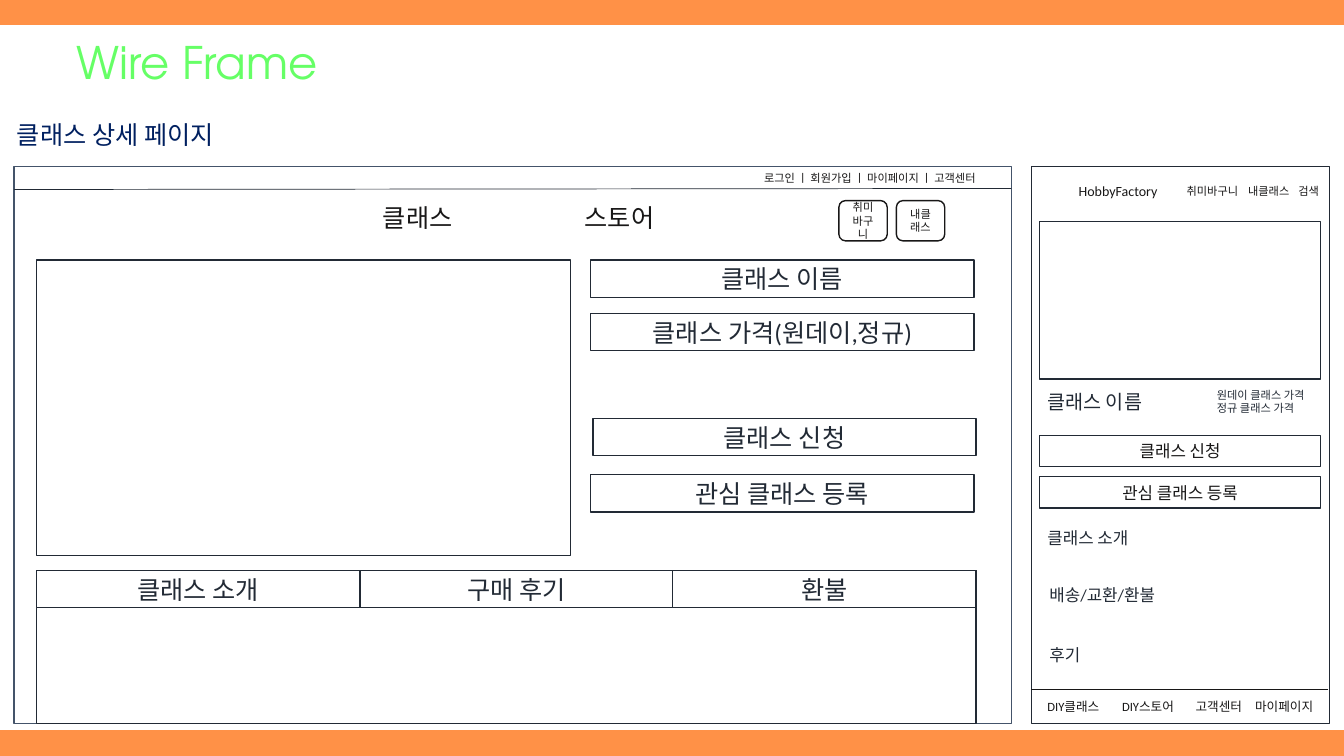
from itertools import accumulate

from lxml.etree import SubElement
from pptx import Presentation
from pptx.dml.color import RGBColor
from pptx.enum.shapes import MSO_CONNECTOR as CONNECTOR, MSO_SHAPE as SHAPE
from pptx.enum.text import MSO_ANCHOR as ANCHOR, MSO_AUTO_SIZE as AUTO_SIZE, PP_ALIGN as ALIGN
from pptx.oxml.ns import qn
from pptx.util import Inches, Pt

# Content
TITLE = "Wire Frame"
SUBTITLE = "클래스 상세 페이지"
ACCOUNT_LINKS = "로그인 ㅣ 회원가입 ㅣ 마이페이지 ㅣ 고객센터"
MAIN_MENU = ["", "클래스", "스토어"]
MENU_BUTTONS = ["취미바구니", "내클래스"]
# Text, left, top
CLASS_ROWS = [
    ("클래스 이름", 5.86, 2.58),
    ("클래스 가격(원데이,정규)", 5.86, 3.11),
    ("클래스 신청", 5.88, 4.15),
    ("관심 클래스 등록", 5.86, 4.71),
]
DETAIL_TABS = [("클래스 소개", 3.21), ("구매 후기", 3.1), ("환불", 3.01)]
MOBILE_BRAND = "HobbyFactory"
MOBILE_MENU = ["취미바구니", "내클래스", "검색"]
MOBILE_NAME = "클래스 이름"
MOBILE_PRICES = ["원데이 클래스 가격", "정규 클래스 가격"]
MOBILE_BUTTONS = ["클래스 신청", "관심 클래스 등록"]
MOBILE_SECTIONS = [("클래스 소개", 10.29, 5.19), ("배송/교환/환불", 10.31, 5.75),
                   ("후기", 10.31, 6.35)]
MOBILE_FOOTER = ["DIY클래스", "DIY스토어", "고객센터", "마이페이지"]

# Colours and fonts
ORANGE = RGBColor(0xFF, 0x91, 0x47)
WHITE = RGBColor(0xFF, 0xFF, 0xFF)
GREEN = RGBColor(0x66, 0xFF, 0x66)
NAVY = RGBColor(0x00, 0x20, 0x60)
SLATE = RGBColor(0x44, 0x54, 0x6A)
INK = RGBColor(0x22, 0x2A, 0x35)
BLACK = RGBColor(0x18, 0x17, 0x17)
BODY_FONT = "Calibri"
TITLE_FONT = "TeX Gyre Adventor"

# Grid
SLIDE_W, SLIDE_H = 13.33, 7.5
BAND = 0.26
FRAME_TOP, FRAME_H = 1.65, 5.53
DESKTOP_LEFT, DESKTOP_W = 0.14, 9.89
MOBILE_LEFT, MOBILE_W = 10.23, 2.96
CONTENT_LEFT, CONTENT_W = 0.36, 9.32
DETAIL_TOP, ROW_H, ROW_W = 5.66, 0.37, 3.8
CARD_LEFT, CARD_W = 10.31, 2.79

prs = Presentation()
prs.slide_width, prs.slide_height = Inches(SLIDE_W), Inches(SLIDE_H)
slide = prs.slides.add_slide(prs.slide_layouts[5])
slide.background.fill.solid()
slide.background.fill.fore_color.rgb = ORANGE


def write(shape, text, size=18, color=INK, font=BODY_FONT, align=ALIGN.LEFT,
          anchor=ANCHOR.TOP, tabs=()):
    frame = shape.text_frame
    frame.word_wrap = True
    frame.auto_size = AUTO_SIZE.NONE
    frame.vertical_anchor = anchor
    for index, line in enumerate(text.split("\n")):
        paragraph = frame.add_paragraph() if index else frame.paragraphs[0]
        paragraph.alignment = align
        if tabs:
            stops = SubElement(paragraph._p.get_or_add_pPr(), qn("a:tabLst"))
            for stop in tabs:
                SubElement(stops, qn("a:tab"), pos=str(Inches(stop)), algn="l")
        run = paragraph.add_run()
        run.text = line
        run.font.name, run.font.size = font, Pt(size)
        run.font.color.rgb = color


def label(text, left, top, width, height, **style):
    box = slide.shapes.add_textbox(*map(Inches, (left, top, width, height)))
    write(box, text, **style)


def frame_box(left, top, width, height, text="", line=INK, fill=WHITE,
              kind=SHAPE.RECTANGLE, **style):
    box = slide.shapes.add_shape(kind, *map(Inches, (left, top, width, height)))
    box.shadow.inherit = False
    if fill is None:
        box.fill.background()
    else:
        box.fill.solid()
        box.fill.fore_color.rgb = fill
    box.line.color.rgb = line
    box.line.width = Pt(1)
    if text:
        write(box, text, align=ALIGN.CENTER, anchor=ANCHOR.MIDDLE, **style)
    return box


def rule(left, top, right, bottom, color):
    line = slide.shapes.add_connector(
        CONNECTOR.STRAIGHT, *map(Inches, (left, top, right, bottom)))
    line.line.color.rgb = color
    line.line.width = Pt(0.5)
    SubElement(line.element.spPr, qn("a:effectLst"))


# White page between the orange bands, with the title above it
page = frame_box(0, BAND, SLIDE_W, SLIDE_H - 2 * BAND, line=WHITE)
title = slide.shapes.title
title.left, title.top, title.width, title.height = map(Inches, (0.66, 0.29, 2.77, 0.64))
write(title, TITLE, size=32, color=GREEN, font=TITLE_FONT)
page.element.addnext(title.element)
label(SUBTITLE, 0.07, 1.13, 9.71, 0.4, color=NAVY)

# Desktop frame: header
frame_box(DESKTOP_LEFT, FRAME_TOP, DESKTOP_W, FRAME_H, line=SLATE)
rule(DESKTOP_LEFT, 1.88, DESKTOP_LEFT + DESKTOP_W, 1.87, INK)
label(ACCOUNT_LINKS, 7.48, FRAME_TOP, 2.55, 0.24, size=8, color=BLACK)
label("\t".join(MAIN_MENU), 2.7, 1.96, 5.11, 0.4, color=BLACK, tabs=(1, 3))
for column, text in enumerate(MENU_BUTTONS):
    frame_box(8.32 + 0.57 * column, 1.99, 0.48, 0.4, text, line=BLACK, fill=None,
              kind=SHAPE.ROUNDED_RECTANGLE, size=8, color=BLACK)

# Desktop frame: class image, class rows and detail tabs
frame_box(CONTENT_LEFT, 2.58, 5.3, 2.93)
for text, left, top in CLASS_ROWS:
    frame_box(left, top, ROW_W, ROW_H, text)
frame_box(CONTENT_LEFT, DETAIL_TOP, CONTENT_W, FRAME_TOP + FRAME_H - DETAIL_TOP)
tab_lefts = accumulate((width for _, width in DETAIL_TABS), initial=CONTENT_LEFT)
for (text, width), left in zip(DETAIL_TABS, tab_lefts):
    frame_box(left, DETAIL_TOP, width, ROW_H, text)

# Mobile frame: header, image and class name
frame_box(MOBILE_LEFT, FRAME_TOP, MOBILE_W, FRAME_H)
label(MOBILE_BRAND, 10.6, 1.76, 1.08, 0.27, size=10, color=BLACK)
label("\t".join(MOBILE_MENU), 11.67, 1.78, 1.6, 0.24, size=8, color=BLACK,
      tabs=(0.61, 1.11))
frame_box(CARD_LEFT, 2.2, CARD_W, 1.56)
label(MOBILE_NAME, 10.29, 3.82, 1.57, 0.34, size=14)
label("\n".join(MOBILE_PRICES), 11.97, 3.8, 1.18, 0.37, size=8)

# Mobile frame: buttons, sections and footer
for row, text in enumerate(MOBILE_BUTTONS):
    frame_box(CARD_LEFT, 4.32 + 0.41 * row, CARD_W, 0.31, text, size=12, color=BLACK)
for text, left, top in MOBILE_SECTIONS:
    label(text, left, top, 1.57, 0.3, size=12)
rule(MOBILE_LEFT, 6.84, 13.17, 6.84, BLACK)
label("\t".join(MOBILE_FOOTER), 10.29, 6.88, 3.04, 0.25, size=9, color=BLACK,
      tabs=(0.74, 1.47, 2.06))

prs.save("out.pptx")
